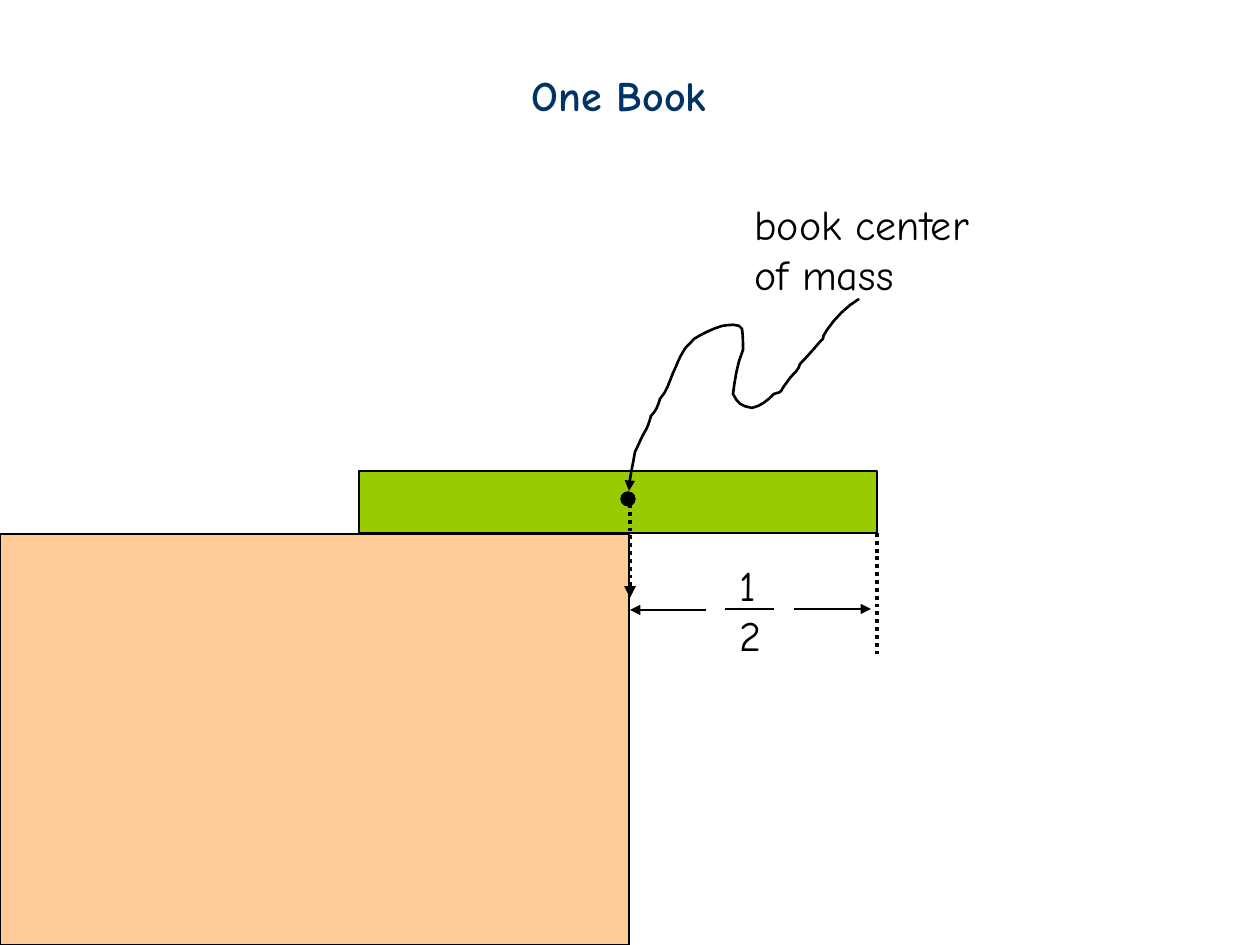
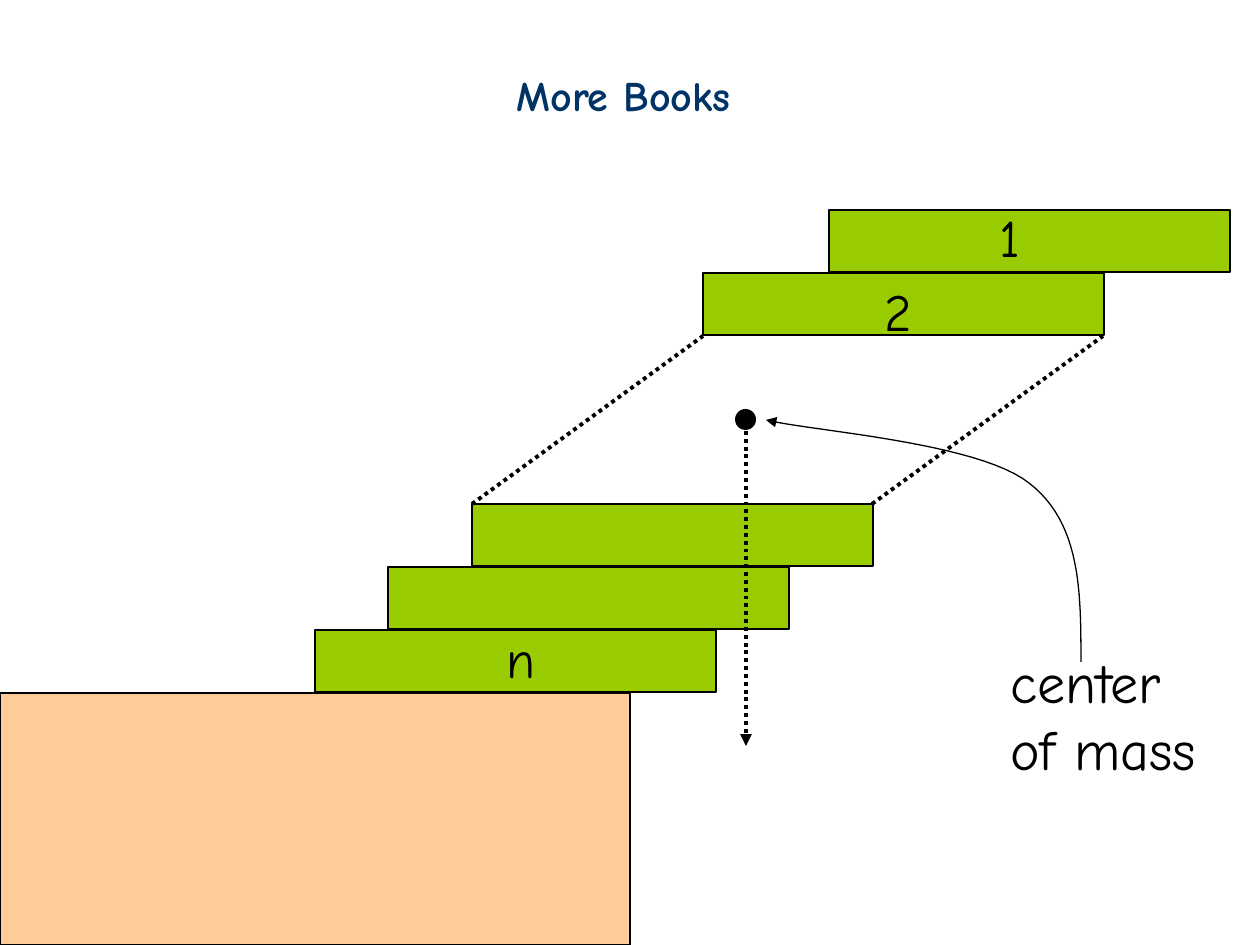
import pptx
import pptx.util
import pptx.dml.color
import pptx.enum.dml
import pptx.enum.shapes
import pptx.enum.text
import pptx.oxml
import pptx.oxml.ns

# Shared look
UNIT = 914400 / 126
WIDE, HIGH = 1260, 945
FONT = "Comic Neue"
BLACK, NAVY, GREEN, PEACH = "000000", "003366", "99CC00", "FFCC99"
BOX = pptx.enum.shapes.MSO_SHAPE.RECTANGLE
OVAL = pptx.enum.shapes.MSO_SHAPE.OVAL

# Start point, then two controls and an end point for each bend
WAVE = [
    (859, 299),
    (847, 306), (835, 318), (827, 330),
    (818, 343), (829, 333), (818, 344),
    (813, 350), (806, 358), (800, 364),
    (799, 370), (794, 373), (790, 378),
    (777, 394), (785, 391), (774, 394),
    (767, 401), (761, 406), (752, 408),
    (741, 406), (738, 404), (733, 394),
    (735, 379), (737, 364), (743, 350),
    (743, 343), (743, 335), (742, 329),
    (740, 323), (728, 325), (722, 326),
    (712, 329), (702, 334), (694, 339),
    (690, 344), (685, 347), (683, 352),
    (679, 358), (677, 365), (673, 373),
    (669, 383), (667, 391), (660, 399),
    (658, 406), (656, 411), (651, 416),
    (649, 423), (648, 427), (643, 435),
    (640, 441), (638, 446), (635, 452),
    (633, 465), (629, 479), (629, 491),
]
SWEEP = [
    (1081, 662),
    (1081, 592), (1081, 523), (1029, 483),
    (977, 442), (810, 431), (766, 420),
]


def emu(px):
    return pptx.util.Emu(round(px * UNIT))


def color(code):
    return pptx.dml.color.RGBColor.from_string(code)


def write(shape, text, size=24, tint=BLACK, bold=False, wrap=False):
    """Put left-aligned lines of text in a shape."""
    frame = shape.text_frame
    frame.text = text
    frame.word_wrap = wrap
    frame.auto_size = pptx.enum.text.MSO_AUTO_SIZE.SHAPE_TO_FIT_TEXT
    frame.vertical_anchor = pptx.enum.text.MSO_ANCHOR.TOP
    for para in frame.paragraphs:
        para.alignment = pptx.enum.text.PP_ALIGN.LEFT
        for run in para.runs:
            run.font.name = FONT
            run.font.size = pptx.util.Pt(size)
            run.font.bold = bold
            run.font.color.rgb = color(tint)


def place(shape, left, top, width, height):
    shape.left, shape.top = emu(left), emu(top)
    shape.width, shape.height = emu(width), emu(height)


def start(deck, title, left, width):
    """Add a slide with its title."""
    slide = deck.slides.add_slide(deck.slide_layouts[5])
    head = slide.shapes.title
    place(head, left, 63, width, 63)
    write(head, title, tint=NAVY, bold=True, wrap=True)
    return slide


def label(slide, text, left, top, width, height, **style):
    area = map(emu, (left, top, width, height))
    write(slide.shapes.add_textbox(*area), text, **style)


def block(slide, kind, left, top, width, height, fill, edge=0.75):
    area = map(emu, (left, top, width, height))
    shape = slide.shapes.add_shape(kind, *area)
    shape.shadow.inherit = False
    shape.fill.solid()
    shape.fill.fore_color.rgb = color(fill)
    if edge:
        shape.line.color.rgb = color(BLACK)
        shape.line.width = pptx.util.Pt(edge)
    else:
        shape.line.fill.background()


def stroke(shape, width, dots=False, arrow=False):
    """Style a line or curve, with an arrowhead at its end if asked."""
    shape.line.color.rgb = color(BLACK)
    shape.line.width = pptx.util.Pt(width)
    if dots:
        shape.line.dash_style = pptx.enum.dml.MSO_LINE.ROUND_DOT
    if arrow:
        pen = shape._element.spPr.find(pptx.oxml.ns.qn("a:ln"))
        tip = pptx.oxml.parse_xml(
            f'<a:tailEnd {pptx.oxml.ns.nsdecls("a")} type="triangle"/>')
        pen.append(tip)


def line(slide, x1, y1, x2, y2, width=1.5, **style):
    kind = pptx.enum.shapes.MSO_CONNECTOR.STRAIGHT
    link = slide.shapes.add_connector(kind, *map(emu, (x1, y1, x2, y2)))
    stroke(link, width, **style)
    link._element.spPr.append(pptx.oxml.parse_xml(
        f'<a:effectLst {pptx.oxml.ns.nsdecls("a")}/>'))


def bend(p, q, r, s, t):
    """Find the point at t on a cubic curve."""
    u = 1 - t
    return tuple(emu(u**3 * a + 3 * u * u * t * b + 3 * u * t * t * c + t**3 * d)
                 for a, b, c, d in zip(p, q, r, s))


def curve(slide, points, width, steps):
    path = [bend(*points[i:i + 4], n / steps)
            for i in range(0, len(points) - 1, 3)
            for n in range(1, steps + 1)]
    pen = slide.shapes.build_freeform(*map(emu, points[0]), scale=1.0)
    pen.add_line_segments(path, close=False)
    shape = pen.convert_to_shape()
    shape.shadow.inherit = False
    shape.fill.background()
    stroke(shape, width, arrow=True)


def one_book(deck):
    slide = start(deck, "One Book", 519, 216)
    # Table and book
    edge, top = 629, 534
    block(slide, BOX, 0, top, edge, HIGH - top, PEACH)
    line(slide, 0, top, edge, top)
    line(slide, edge, top, edge, HIGH)
    block(slide, BOX, 359, 471, 518, 62, GREEN)
    block(slide, OVAL, 621, 492, 14, 14, BLACK)
    # Overhang of one half
    line(slide, 877, 533, 877, 656, 2.25, dots=True)
    label(slide, "1\n2", 727, 553, 50, 113)
    line(slide, 725, 609, 774, 609)
    line(slide, 794, 609, 871, 609, arrow=True)
    line(slide, 706, 610, 630, 610, arrow=True)
    # Center of mass
    curve(slide, WAVE, 1.5, 4)
    line(slide, 630, 504, 630, 598, 2.25, dots=True, arrow=True)
    label(slide, "book center\nof mass", 742, 192, 277, 113, wrap=True)


def more_books(deck):
    slide = start(deck, "More Books", 504, 260)
    # Stack on the table, from the bottom up
    span, thick, pitch = 401, 62, 63
    block(slide, BOX, 0, 693, 630, HIGH - 693, PEACH)
    for base, lefts in ((630, (315, 388, 472)), (273, (703, 829))):
        for row, left in enumerate(lefts):
            block(slide, BOX, left, base - row * pitch, span, thick, GREEN)
    # Books left out between the two groups
    for shift in (0, 400):
        line(slide, 472 + shift, 504, 703 + shift, 336, 2.25, dots=True)
    # Center of mass
    label(slide, "center\nof mass", 998, 641, 227, 147, size=32)
    block(slide, OVAL, 735, 409, 21, 21, BLACK, edge=0)
    curve(slide, SWEEP, 0.75, 24)
    line(slide, 746, 431, 746, 746, 2.25, dots=True, arrow=True)
    # Book numbers
    for text, left, top, width in (
            ("1", 987, 199, 49), ("2", 872, 273, 57), ("n", 494, 620, 53)):
        label(slide, text, left, top, width, 76, size=30)


def main():
    deck = pptx.Presentation()
    deck.slide_width, deck.slide_height = emu(WIDE), emu(HIGH)
    one_book(deck)
    more_books(deck)
    deck.save("out.pptx")


if __name__ == "__main__":
    main()
